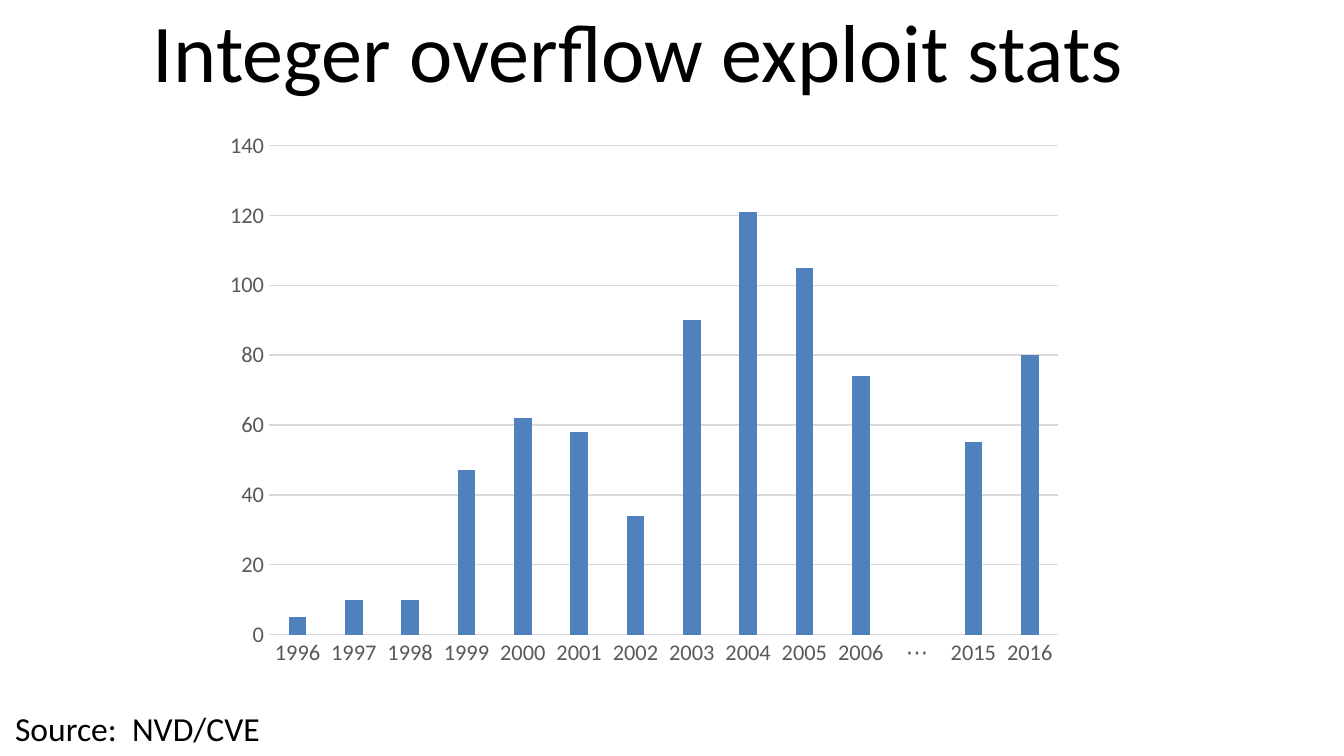
from pptx import Presentation
from pptx.chart.data import CategoryChartData
from pptx.dml.color import RGBColor
from pptx.enum.chart import XL_CHART_TYPE, XL_TICK_MARK
from pptx.enum.text import MSO_ANCHOR, MSO_AUTO_SIZE, PP_ALIGN
from pptx.util import Cm, Pt

COLUMNS = XL_CHART_TYPE.COLUMN_CLUSTERED
NO_TICKS = XL_TICK_MARK.NONE
MIDDLE = MSO_ANCHOR.MIDDLE
GROW = MSO_AUTO_SIZE.SHAPE_TO_FIT_TEXT
CENTER = PP_ALIGN.CENTER

FONT = "Calibri"
BLACK, GREY, PALE, BLUE = "000000", "595959", "D9D9D9", "4F81BD"
TITLE_LAYOUT = 5

EXPLOITS = {
    "1996": 5, "1997": 10, "1998": 10, "1999": 47, "2000": 62,
    "2001": 58, "2002": 34, "2003": 90, "2004": 121, "2005": 105,
    "2006": 74, "⋯": None, "2015": 55, "2016": 80,
}


def color(value):
    return RGBColor.from_string(value)


def style_font(font, size, value):
    font.name = FONT
    font.size = Pt(size)
    font.color.rgb = color(value)


def style_line(line, value):
    line.color.rgb = color(value)
    line.width = Pt(0.75)


def write_text(frame, text, size):
    frame.text = text
    para = frame.paragraphs[0]
    para.alignment = CENTER
    style_font(para.runs[0].font, size, BLACK)
    return para


def place_title(page, box, text):
    title = page.shapes.title
    title.left, title.top, title.width, title.height = box
    title.text_frame.vertical_anchor = MIDDLE
    write_text(title.text_frame, text, 44)


def place_chart(page, box, values):
    data = CategoryChartData()
    data.categories = list(values)
    data.add_series("Series 1", list(values.values()))
    chart = page.shapes.add_chart(COLUMNS, *box, data).chart
    chart.has_legend = False
    chart.has_title = False
    style_font(chart.font, 10, BLACK)

    plot = chart.plots[0]
    plot.gap_width = 219
    plot.overlap = -27
    plot.vary_by_categories = False
    fill = plot.series[0].format.fill
    fill.solid()
    fill.fore_color.rgb = color(BLUE)

    for axis in (chart.category_axis, chart.value_axis):
        axis.major_tick_mark = NO_TICKS
        axis.minor_tick_mark = NO_TICKS
        style_font(axis.tick_labels.font, 12, GREY)
    style_line(chart.category_axis.format.line, PALE)
    chart.value_axis.format.line.fill.background()
    style_line(chart.value_axis.major_gridlines.format.line, PALE)


def place_source(page, box, text):
    frame = page.shapes.add_textbox(*box).text_frame
    frame.word_wrap = False
    frame.auto_size = GROW
    para = write_text(frame, text, 18)
    para.space_before = Pt(9)


def main():
    deck = Presentation()
    deck.slide_width, deck.slide_height = Cm(25.4), Cm(14.29)
    page = deck.slides.add_slide(deck.slide_layouts[TITLE_LAYOUT])
    place_source(page, (Cm(0), Cm(13.26), Cm(5.2), Cm(1.03)), "Source:  NVD/CVE")
    place_title(page, (Cm(0.64), Cm(-0.25), Cm(22.86), Cm(2.38)),
                "Integer overflow exploit stats")
    place_chart(page, (Cm(4.02), Cm(2.29), Cm(16.3), Cm(10.52)), EXPLOITS)
    deck.save("out.pptx")


if __name__ == "__main__":
    main()
